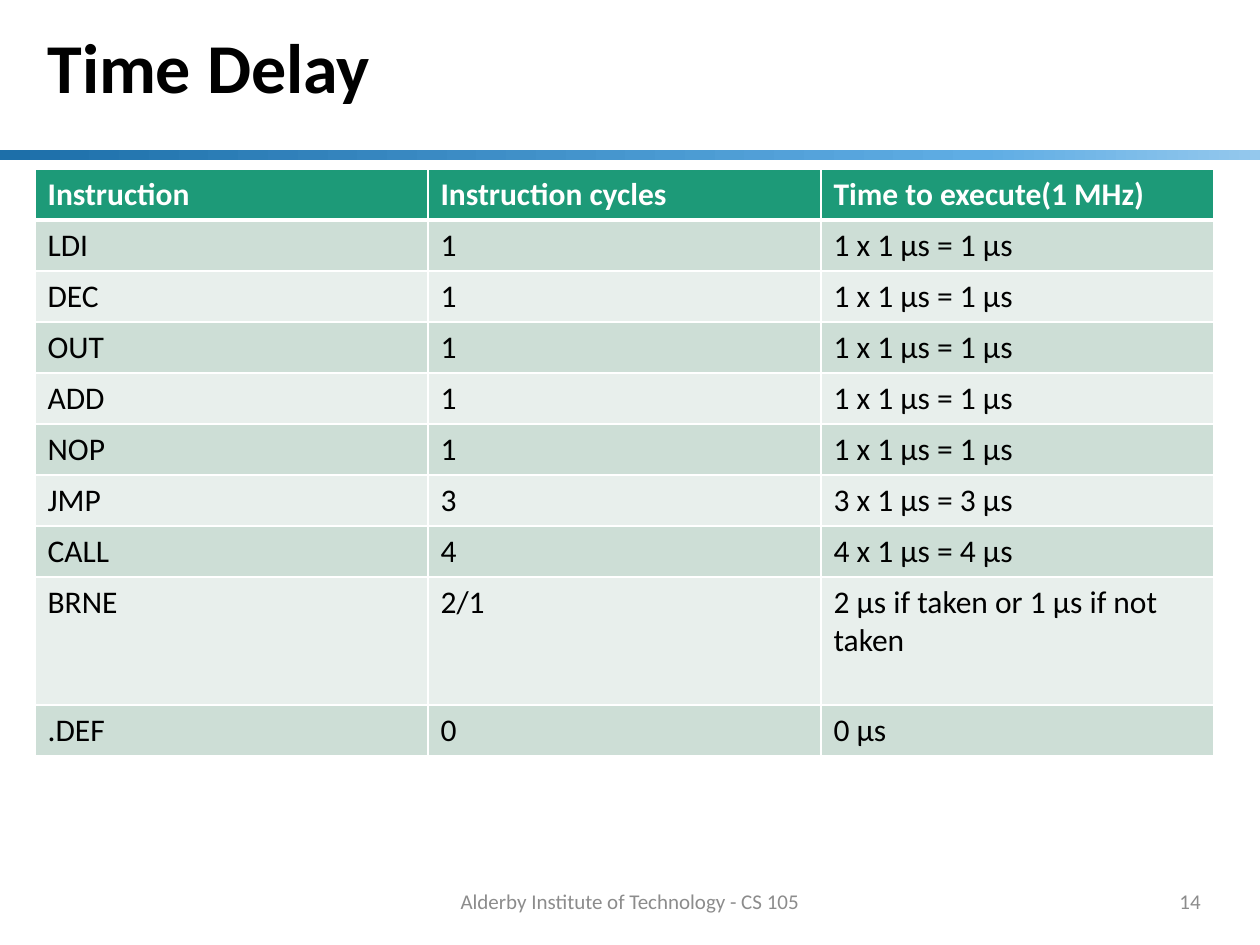
from lxml import etree
from pptx import Presentation
from pptx.dml.color import RGBColor
from pptx.enum.shapes import MSO_SHAPE
from pptx.enum.text import MSO_ANCHOR, PP_ALIGN
from pptx.oxml.ns import qn
from pptx.util import Emu, Pt

RECTANGLE = MSO_SHAPE.RECTANGLE
MIDDLE = MSO_ANCHOR.MIDDLE
LEFT, CENTER, RIGHT = PP_ALIGN.LEFT, PP_ALIGN.CENTER, PP_ALIGN.RIGHT

EMU_PER_PX = 914400 / 126
FONT = "Calibri"
BLACK, WHITE, GREY = "000000", "FFFFFF", "8C8C8C"
HEADER_FILL = "1D9A78"
BAND_FILLS = ("CDDED6", "E8EFEC")
BAR_STOPS = ((0, "1D6FA9"), (78, "5FADE4"), (100, "94C8ED"))

COLUMN_WIDTH, ROW_HEIGHT, TALL_ROW_HEIGHT = 393, 51, 128
TALL_ROW = "BRNE"
ROWS = [
    ("Instruction", "Instruction cycles", "Time to execute(1 MHz)"),
    *[(name, str(cycles), f"{cycles} x 1 μs = {cycles} μs")
      for name, cycles in (("LDI", 1), ("DEC", 1), ("OUT", 1), ("ADD", 1),
                           ("NOP", 1), ("JMP", 3), ("CALL", 4))],
    (TALL_ROW, "2/1", "2 μs if taken or 1 μs if not taken"),
    (".DEF", "0", "0 μs"),
]


def px(length):
    return Emu(round(length * EMU_PER_PX))


def rgb(color):
    return RGBColor.from_string(color)


def style_paragraph(paragraph, size, color, bold=False):
    font = paragraph.font
    font.name = FONT
    font.size = Pt(size)
    font.bold = bold
    font.color.rgb = rgb(color)


def add_text(slide, text, box, size, color, bold=False, align=LEFT, spacing=1.0):
    frame = slide.shapes.add_textbox(*map(px, box)).text_frame
    frame.word_wrap = True
    frame.vertical_anchor = MIDDLE
    paragraph = frame.paragraphs[0]
    paragraph.text = text
    paragraph.alignment = align
    paragraph.line_spacing = spacing
    style_paragraph(paragraph, size, color, bold)


def add_gradient_bar(slide, box, stops):
    bar = slide.shapes.add_shape(RECTANGLE, *map(px, box))
    bar.shadow.inherit = False
    bar.line.fill.background()
    bar.fill.gradient()
    bar.fill.gradient_angle = 0
    stop_list = next(bar.element.iter(qn("a:gsLst")))
    for stop in list(stop_list):
        stop_list.remove(stop)
    for position, color in stops:
        stop = etree.SubElement(stop_list, qn("a:gs"), pos=str(position * 1000))
        etree.SubElement(stop, qn("a:srgbClr"), val=color)


def set_borders(cell, top, bottom):
    properties = cell._tc.get_or_add_tcPr()
    for side, width in (("L", 1), ("R", 1), ("T", top), ("B", bottom)):
        line = etree.SubElement(properties, qn(f"a:ln{side}"), w=str(Pt(width)))
        fill = etree.SubElement(line, qn("a:solidFill"))
        etree.SubElement(fill, qn("a:srgbClr"), val=WHITE)


def fill_cell(cell, text, row_index):
    is_header = row_index == 0
    # Borders come before the fill in the cell properties
    set_borders(cell, top=3 if row_index == 1 else 1, bottom=3 if is_header else 1)
    cell.fill.solid()
    cell.fill.fore_color.rgb = rgb(
        HEADER_FILL if is_header else BAND_FILLS[(row_index - 1) % 2])
    cell.text = text
    style_paragraph(cell.text_frame.paragraphs[0], 18,
                    WHITE if is_header else BLACK, bold=is_header)


def add_instruction_table(slide, left, top, rows):
    heights = [TALL_ROW_HEIGHT if row[0] == TALL_ROW else ROW_HEIGHT for row in rows]
    column_count = len(rows[0])
    table = slide.shapes.add_table(
        len(rows), column_count, px(left), px(top),
        px(column_count * COLUMN_WIDTH), px(sum(heights))).table
    for column in table.columns:
        column.width = px(COLUMN_WIDTH)
    for row_index, (values, height) in enumerate(zip(rows, heights)):
        table.rows[row_index].height = px(height)
        for column_index, value in enumerate(values):
            fill_cell(table.cell(row_index, column_index), value, row_index)


def main():
    presentation = Presentation()
    presentation.slide_width = px(1260)
    presentation.slide_height = px(945)
    slide = presentation.slides.add_slide(presentation.slide_layouts[6])

    # Title and divider
    add_gradient_bar(slide, (0, 150, 1260, 10), BAR_STOPS)
    add_text(slide, "Time Delay", (35, 0, 1178, 142), 40, BLACK, bold=True, spacing=0.9)

    # Instruction timings
    add_instruction_table(slide, 35, 169, ROWS)

    # Footer and slide number
    add_text(slide, "Alderby Institute of Technology - CS 105",
             (417, 876, 426, 50), 12, GREY, align=CENTER)
    add_text(slide, "14", (930, 876, 283, 50), 12, GREY, align=RIGHT)

    presentation.save("out.pptx")


if __name__ == "__main__":
    main()
